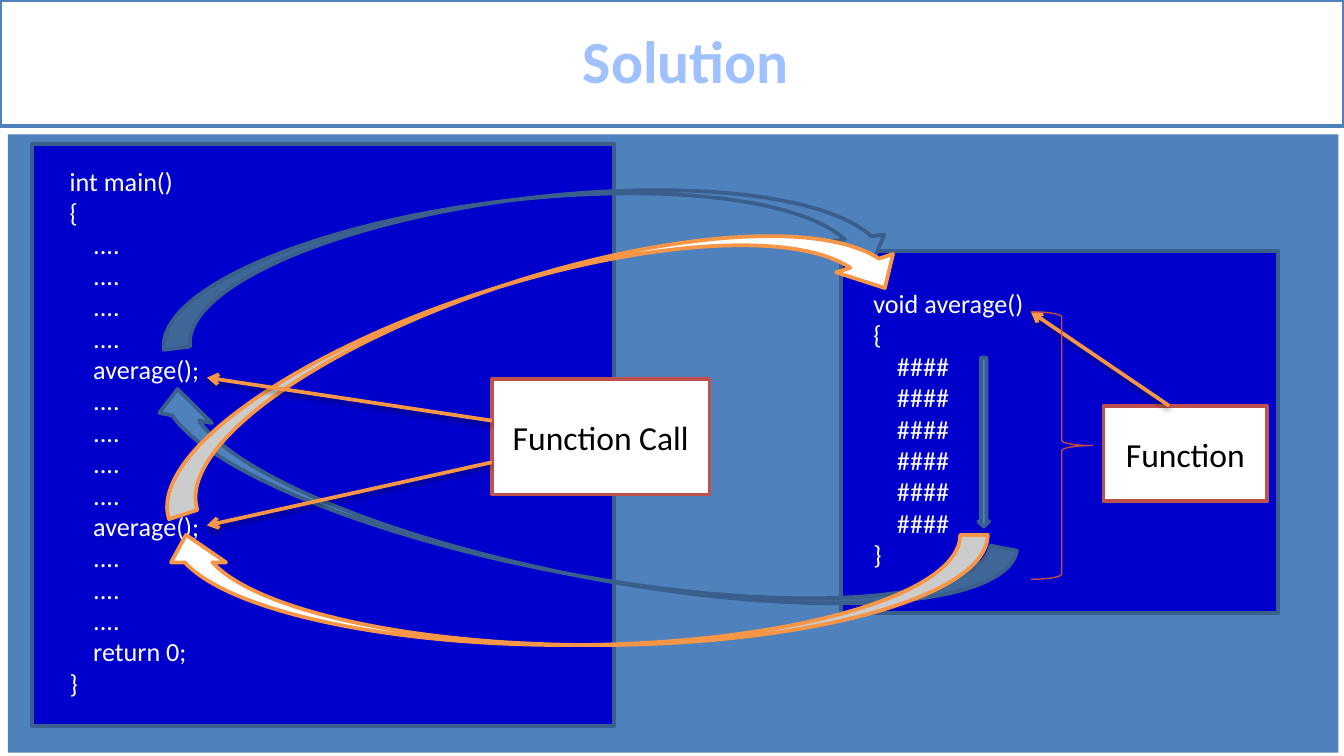
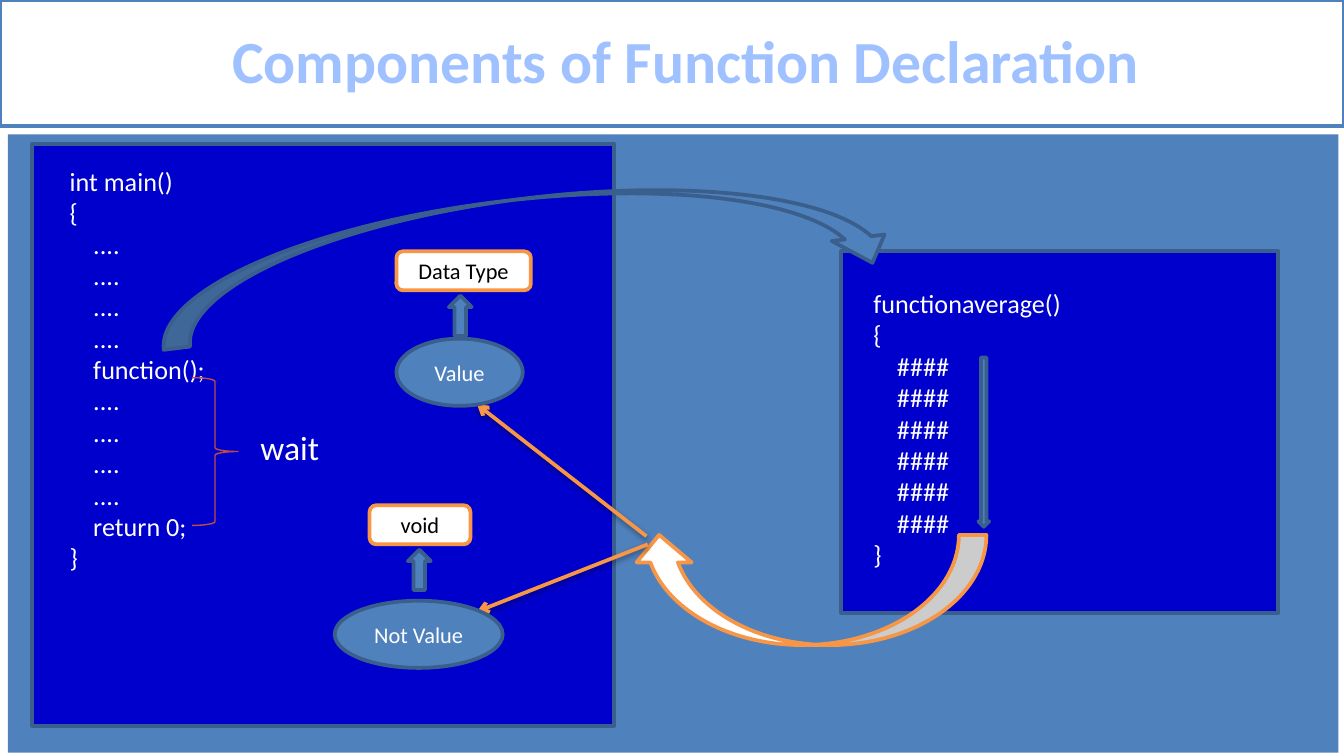
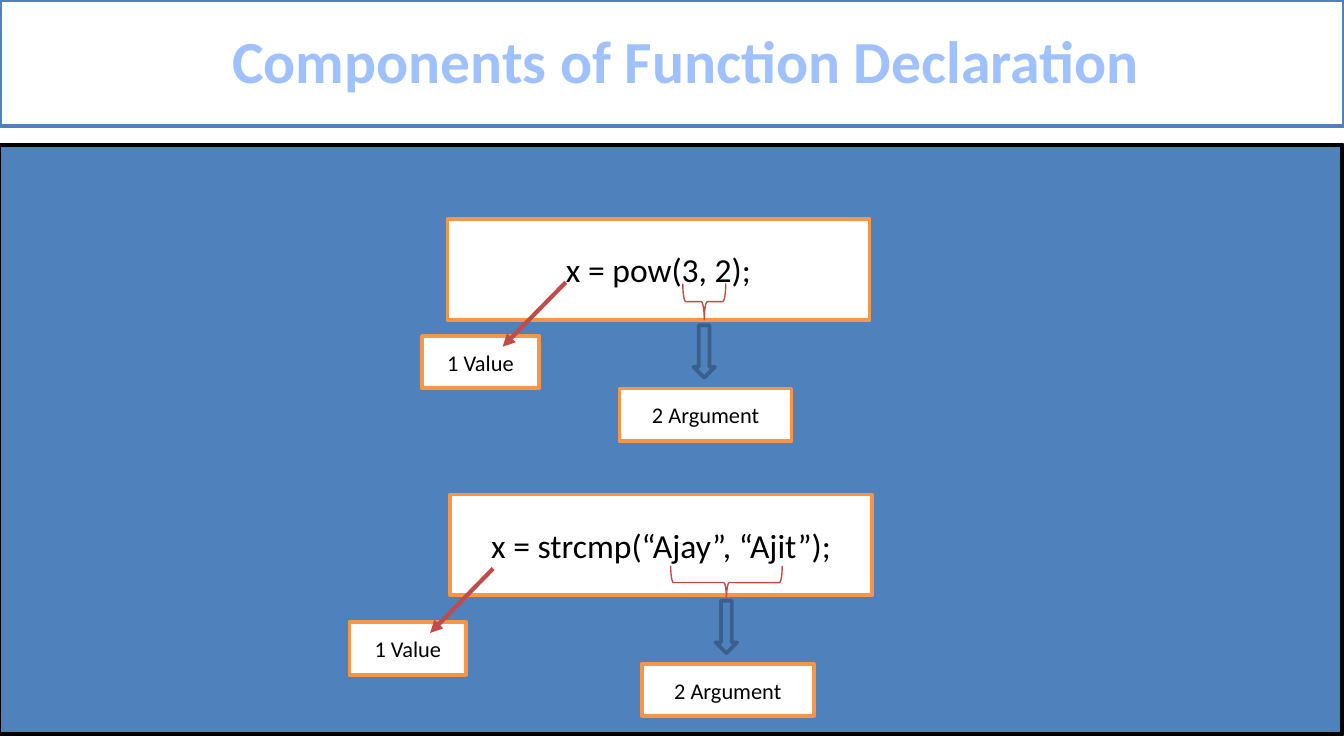
from collections import namedtuple
from dataclasses import dataclass

from lxml import etree
from pptx import Presentation
from pptx.dml.color import RGBColor
from pptx.enum import shapes, text
from pptx.oxml import parse_xml
from pptx.oxml.ns import qn
from pptx.util import Inches, Pt

Box = namedtuple("Box", "x y w h")
KIND = shapes.MSO_SHAPE
ALIGN = text.PP_ALIGN
DRAWING_NS = "http://schemas.openxmlformats.org/drawingml/2006/main"


@dataclass(frozen=True)
class Theme:
    font: str = "Calibri"
    blue: str = "4F81BD"
    blue_edge: str = "3A5F8C"
    code_blue: str = "0000CC"
    white: str = "FFFFFF"
    black: str = "000000"
    orange: str = "F79646"
    red: str = "C0504D"
    dark_red: str = "BF4C48"
    title_edge: str = "467AB8"
    title_stops: tuple = ((0, "BFD3F9"), (9, "A0C1FF"), (50, "003D85"),
                          (79, "A0C1FF"), (100, "BFD3F9"))
    title_size: int = 32
    label_size: int = 18
    code_size: int = 14
    tag_size: int = 12
    line: float = 2
    thick_line: float = 2.25
    thin_line: float = 0.75


THEME = Theme()
TITLE_BAND = Box(0, 0, 10, 0.94)
STAGE = Box(0.06, 1, 9.9, 4.6)
MAIN_PANEL = Box(0.24, 1.07, 4.33, 4.33)
FUNCTION_PANEL = Box(6.26, 1.87, 3.25, 2.69)
CALL_ARC = Box(1.15, 1.48, 5.51, 0.79)


# Shared helpers

def rgb(value):
    return RGBColor.from_string(value)


def place(box):
    return [Inches(length) for length in box]


def write(frame, content, size=THEME.code_size, color=THEME.black, bold=False,
          align=ALIGN.LEFT, left=0, hanging=0, spacing=None):
    """Fill a text frame, one paragraph for each line of content."""
    for index, line in enumerate(content.split("\n")):
        paragraph = frame.paragraphs[0] if index == 0 else frame.add_paragraph()
        paragraph.alignment = align
        paragraph.line_spacing = spacing
        if left:
            properties = paragraph._p.get_or_add_pPr()
            properties.set("marL", str(Inches(left)))
            properties.set("indent", str(Inches(-hanging)))
        run = paragraph.add_run()
        run.text = line
        run.font.name, run.font.size, run.font.bold = THEME.font, Pt(size), bold
        run.font.color.rgb = rgb(color)


def paint(shape, fill=None, edge=None, width=THEME.line):
    if fill:
        shape.fill.solid()
        shape.fill.fore_color.rgb = rgb(fill)
    else:
        shape.fill.background()
    if edge:
        shape.line.color.rgb = rgb(edge)
        shape.line.width = Pt(width)
    else:
        shape.line.fill.background()


def add_figure(slide, kind, box, fill=THEME.blue, edge=THEME.blue_edge,
               width=THEME.line, rotation=0, flip=False):
    figure = slide.shapes.add_shape(kind, *place(box))
    figure.shadow.inherit = False
    paint(figure, fill, edge, width)
    figure.rotation = rotation
    if flip:
        figure._element.spPr.xfrm.set("flipH", "1")
    return figure


def add_label(slide, box, content, kind=KIND.RECTANGLE, size=THEME.tag_size,
              color=THEME.black, fill=THEME.white, edge=THEME.orange):
    label = add_figure(slide, kind, box, fill, edge)
    label.text_frame.word_wrap = True
    label.text_frame.vertical_anchor = text.MSO_ANCHOR.MIDDLE
    write(label.text_frame, content, size=size, color=color, align=ALIGN.CENTER)


def add_text(slide, box, content, wrap=True, **fmt):
    frame = slide.shapes.add_textbox(*place(box)).text_frame
    frame.word_wrap = wrap
    frame.auto_size = text.MSO_AUTO_SIZE.SHAPE_TO_FIT_TEXT
    write(frame, content, **fmt)


def add_arrow(slide, start, end, color=THEME.orange, width=THEME.line,
              head="arrow", shadow=True):
    arrow = slide.shapes.add_connector(
        shapes.MSO_CONNECTOR.STRAIGHT, *place(start + end))
    arrow.line.color.rgb = rgb(color)
    arrow.line.width = Pt(width)
    etree.SubElement(arrow.line._get_or_add_ln(), qn("a:tailEnd"), type=head)
    effects = etree.SubElement(arrow._element.spPr, qn("a:effectLst"))
    if shadow:
        cast = etree.SubElement(
            effects, qn("a:outerShdw"), blurRad=str(Pt(3.1)), dist=str(Pt(1.6)),
            dir="5400000", rotWithShape="0")
        shade = etree.SubElement(cast, qn("a:srgbClr"), val=THEME.black)
        etree.SubElement(shade, qn("a:alpha"), val="38000")


def add_brace(slide, box, rotation=0):
    """Draw a brace whose visible extent is the box, also when turned down."""
    if rotation:
        box = Box(box.x + (box.w - box.h) / 2, box.y + (box.h - box.w) / 2,
                  box.h, box.w)
    add_figure(slide, KIND.RIGHT_BRACE, box, None, THEME.dark_red,
               THEME.thin_line, rotation)


# Title band

def style_title_run(run):
    properties = run._r.get_or_add_rPr()
    properties.remove(properties.find(qn("a:solidFill")))
    stops = "".join(f'<a:gs pos="{pos * 1000}"><a:srgbClr val="{color}"/></a:gs>'
                    for pos, color in THEME.title_stops)
    gradient = parse_xml(f'<a:gradFill xmlns:a="{DRAWING_NS}"><a:gsLst>{stops}'
                         '</a:gsLst><a:lin ang="5400000"/></a:gradFill>')
    outline = parse_xml(
        f'<a:ln xmlns:a="{DRAWING_NS}" w="{Pt(0.83)}"><a:solidFill>'
        f'<a:srgbClr val="{THEME.title_edge}"/></a:solidFill></a:ln>')
    properties.insert(0, outline)
    properties.insert(1, gradient)


def add_titled_slide(deck, heading):
    slide = deck.slides.add_slide(deck.slide_layouts[5])
    title = slide.shapes.title
    title.left, title.top, title.width, title.height = place(TITLE_BAND)
    paint(title, THEME.white, THEME.blue)
    title.text_frame.vertical_anchor = text.MSO_ANCHOR.MIDDLE
    write(title.text_frame, heading, size=THEME.title_size, bold=True,
          align=ALIGN.CENTER, left=0.21, spacing=0.96)
    style_title_run(title.text_frame.paragraphs[0].runs[0])
    return slide


# Code panels

def code(header, *body):
    return "\n".join([header, "{", *("    " + line for line in body), "}"])


def add_code_panel(slide, box, content, inset):
    add_figure(slide, KIND.RECTANGLE, box, THEME.code_blue)
    dx, dy, width = inset
    height = 0.1 + 0.235 * len(content.split("\n"))
    add_text(slide, Box(box.x + dx, box.y + dy, width, height), content,
             color=THEME.white, left=0.38, hanging=0.38)


def add_program(slide, main_code, function_header):
    """Draw main() on the left, the called function and the call on the right."""
    add_figure(slide, KIND.RECTANGLE, STAGE, edge=None)
    add_code_panel(slide, MAIN_PANEL, main_code, (0.18, 0.11, 4))
    add_code_panel(slide, FUNCTION_PANEL,
                   code(function_header, *["####"] * 6), (0.14, 0.22, 3.01))
    add_figure(slide, KIND.CURVED_DOWN_ARROW, CALL_ARC, rotation=353)
    flow = Box(FUNCTION_PANEL.x + 1.02, FUNCTION_PANEL.y + 0.79, 0.08, 1.26)
    add_figure(slide, KIND.DOWN_ARROW, flow)


def add_return_arc(slide, box):
    add_figure(slide, KIND.CURVED_UP_ARROW, box, THEME.white, THEME.orange,
               flip=True)


# Labels around the code

def add_call_label(slide, box):
    add_label(slide, box, "Function Call", size=THEME.label_size, edge=THEME.red)
    for start_dy, end_dy in ((0.31, -0.01), (0.62, 1.09)):
        add_arrow(slide, (box.x, box.y + start_dy),
                  (box.x - 2.12, box.y + end_dy))


def add_function_label(slide, box):
    add_label(slide, box, "Function", size=THEME.label_size, edge=THEME.red)
    brace = Box(box.x - 0.54, box.y - 0.7, 0.46, 1.99)
    add_arrow(slide, (box.x + 0.49, box.y), (brace.x, brace.y))
    add_brace(slide, brace)


def add_wait(slide, box):
    add_brace(slide, box)
    add_text(slide, Box(box.x + 0.41, box.y + 0.32, 0.64, 0.4), "wait",
             wrap=False, size=THEME.label_size, color=THEME.white)


def add_return_kind(slide, box, kind, tag, tag_dx, tag_width):
    """Stack a type tag, an arrow and an ellipse that fills the box's width."""
    ellipse = Box(box.x, box.y + box.h - 0.5, box.w, 0.5)
    add_label(slide, ellipse, kind, KIND.OVAL, color=THEME.white,
              fill=THEME.blue, edge=THEME.blue_edge)
    add_figure(slide, KIND.UP_ARROW,
               Box(box.x + box.w / 2 - 0.08, box.y + 0.33, 0.17, 0.3))
    add_label(slide, Box(box.x + tag_dx, box.y, tag_width, 0.29), tag,
              KIND.ROUNDED_RECTANGLE)


def add_call_example(slide, box, expression, arguments, value_offset):
    """Show a call, its bracketed arguments and its returned value."""
    add_label(slide, box, expression, size=THEME.label_size)
    brace = Box(box.x + arguments.x, box.y + arguments.y, *arguments[2:])
    middle = brace.x + brace.w / 2
    add_brace(slide, brace, rotation=90)
    add_figure(slide, KIND.DOWN_ARROW,
               Box(middle - 0.08, box.y + 0.79, 0.16, 0.39))
    add_label(slide, Box(middle - 0.63, box.y + 1.26, 1.28, 0.39), "2 Argument")
    value = Box(box.x + value_offset[0], box.y + value_offset[1], 0.87, 0.39)
    add_label(slide, value, "1 Value")
    add_arrow(slide, (value.x + 1.07, value.y - 0.4),
              (value.x + 0.6, value.y + 0.08), THEME.dark_red,
              THEME.thick_line, head="triangle", shadow=False)


# Slides

def build_solution(deck):
    slide = add_titled_slide(deck, "Solution")
    dots = ["...."] * 4
    add_program(slide, code("int main()", *dots, "average();", *dots,
                            "average();", *dots[:3], "return 0;"),
                "void average()")
    add_figure(slide, KIND.CURVED_UP_ARROW, Box(0.99, 3.47, 6.56, 0.8),
               rotation=10.9, flip=True)
    add_figure(slide, KIND.CURVED_DOWN_ARROW, Box(0.98, 2.1, 5.82, 0.89),
               THEME.white, THEME.orange, rotation=342.1)
    add_return_arc(slide, Box(1.18, 3.98, 6.17, 0.82))
    add_call_label(slide, Box(3.66, 2.82, 1.62, 0.86))
    add_function_label(slide, Box(8.21, 3.02, 1.22, 0.71))


def build_return_kinds(deck):
    slide = add_titled_slide(deck, "Components of Function Declaration")
    dots = ["...."] * 4
    add_program(slide, code("int main()", *dots, "function();", *dots,
                            "return 0;"), "functionaverage()")
    add_return_arc(slide, Box(4.7, 3.98, 2.64, 0.82))
    add_arrow(slide, (4.81, 3.99), (3.55, 3.01))
    add_arrow(slide, (4.82, 4.05), (3.55, 4.55))
    add_return_kind(slide, Box(2.95, 1.87, 0.94, 1.15), "Value", "Data Type",
                    0, 1)
    add_return_kind(slide, Box(2.49, 3.76, 1.25, 1.21), "Not Value", "void",
                    0.26, 0.75)
    add_wait(slide, Box(1.43, 2.81, 0.34, 1.1))


def build_call_examples(deck):
    slide = add_titled_slide(deck, "Components of Function Declaration")
    add_figure(slide, KIND.RECTANGLE, Box(-0.01, 1.08, 10, 4.38),
               edge=THEME.black, width=THEME.thick_line)
    add_call_example(slide, Box(3.33, 1.63, 3.14, 0.75), "x = pow(3, 2);",
                     Box(1.75, 0.48, 0.32, 0.27), (-0.19, 0.87))
    add_call_example(slide, Box(3.35, 3.68, 3.14, 0.75),
                     "x = strcmp(“Ajay”, “Ajit”);",
                     Box(1.64, 0.53, 0.83, 0.25), (-0.75, 0.95))


def main():
    deck = Presentation()
    deck.slide_width = Inches(10)
    deck.slide_height = deck.slide_width * 9 // 16
    build_solution(deck)
    build_return_kinds(deck)
    build_call_examples(deck)
    deck.save("out.pptx")


if __name__ == "__main__":
    main()
